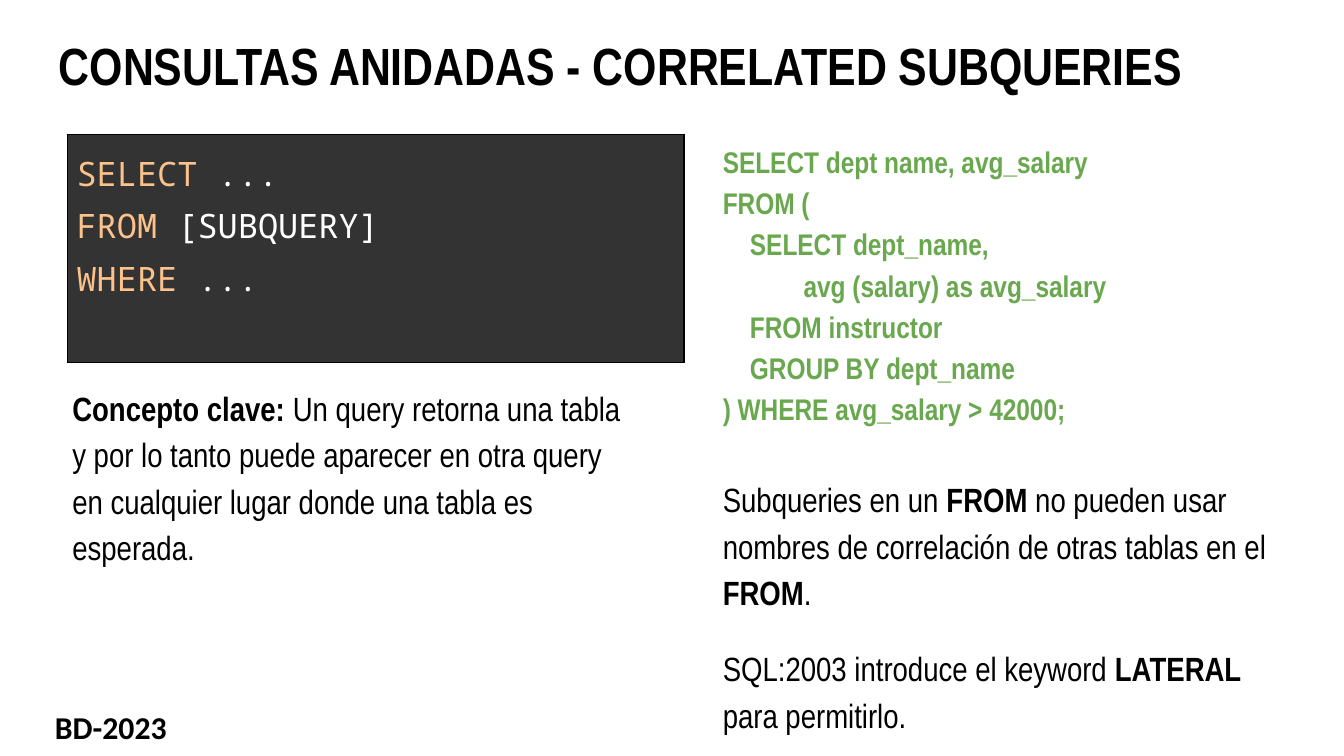
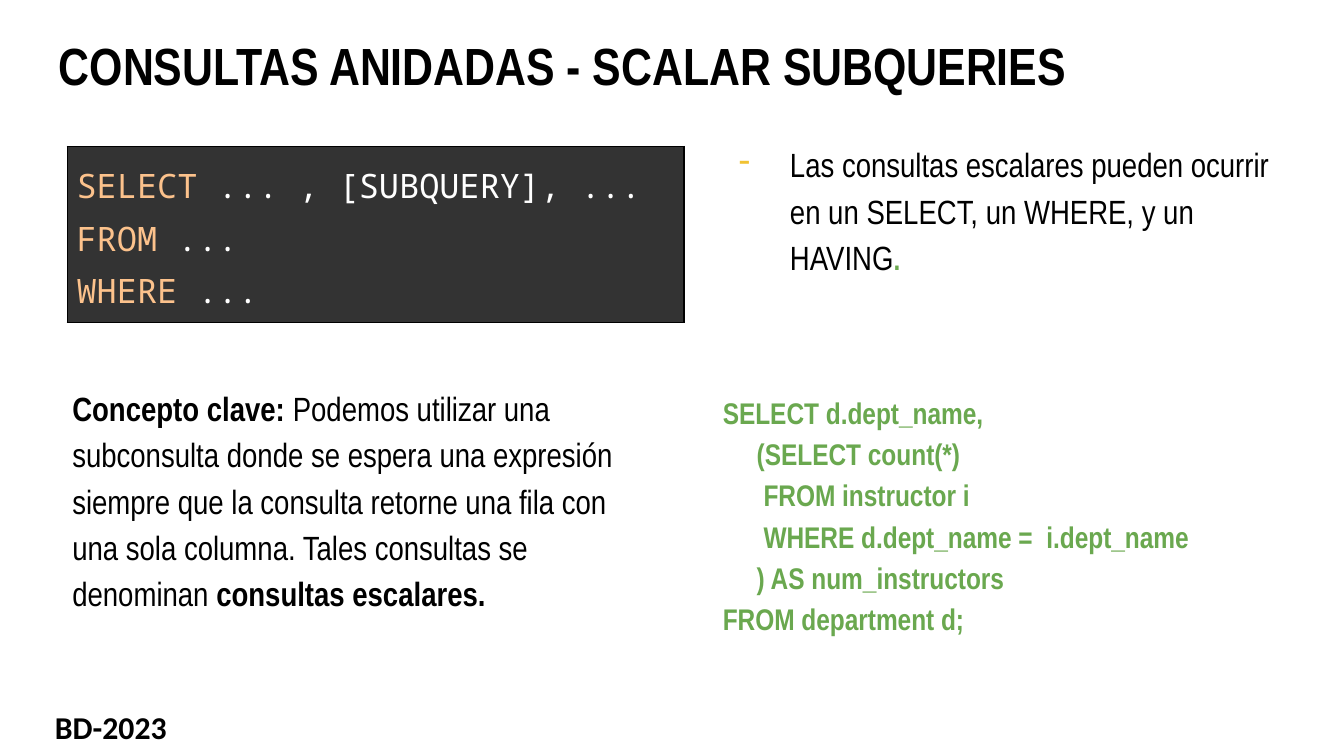
from pptx import Presentation
from pptx.dml.color import RGBColor
from pptx.enum.shapes import MSO_SHAPE
from pptx.enum.text import MSO_ANCHOR, PP_ALIGN
from pptx.oxml.ns import qn
from pptx.util import Inches, Pt
from lxml.etree import SubElement

COLORS = {
    "text": "000000",
    "paper": "FFFFFF",
    "code_back": "333333",
    "keyword": "FCC28C",
    "sql": "6AA84F",
    "dash": "F1C232",
}

BODY = {"spacing": 1.15, "accent": {"bold": True}}
SQL = {"size": 16, "color": "sql", "bold": True, "spacing": 1.15}
CODE = {"font": "Noto Sans Mono", "color": "paper", "spacing": 1.15,
        "accent": {"color": "keyword"}}

SLIDES = [
    {
        "title": "CONSULTAS ANIDADAS - CORRELATED SUBQUERIES",
        "code_top": 1,
        "code_height": 1.7,
        "code": ["|SELECT| ...\n|FROM| [SUBQUERY]\n|WHERE| ..."],
        "concept": "|Concepto clave: |Un query retorna una tabla y por lo tanto "
                   "puede aparecer en otra query en cualquier lugar donde una "
                   "tabla es esperada.",
        "right": [
            ("SELECT dept name, avg_salary", SQL),
            ("FROM (", SQL),
            ("    SELECT dept_name,", SQL),
            ("  avg (salary) as avg_salary", {**SQL, "indent": 0.5}),
            ("    FROM instructor", SQL),
            ("    GROUP BY dept_name", SQL),
            (") WHERE avg_salary > 42000;", SQL),
            ("Subqueries en un |FROM| no pueden usar nombres de correlación "
             "de otras tablas en el |FROM|.", {**BODY, "before": 25}),
            ("SQL:2003 introduce el keyword |LATERAL| para permitirlo.",
             {**BODY, "before": 16}),
        ],
    },
    {
        "title": "CONSULTAS ANIDADAS - SCALAR SUBQUERIES",
        "code_top": 1.09,
        "code_height": 1.31,
        "code": ["|SELECT| ... , [SUBQUERY], ...\n|FROM| ...", "|WHERE |..."],
        "concept": "|Concepto clave: |Podemos utilizar una subconsulta donde se "
                   "espera una expresión siempre que la consulta retorne una fila "
                   "con una sola columna. Tales consultas se denominan "
                   "|consultas escalares.|",
        "right": [
            ("Las consultas escalares pueden ocurrir en un SELECT, un WHERE, "
             "y un HAVING|.|",
             {"spacing": 1.15, "margin": 0.5, "indent": -0.38, "bullet": "-",
              "accent": {"size": 16, "color": "sql", "bold": True}}),
            ("SELECT d.dept_name,", {**SQL, "before": 60}),
            ("     (SELECT count(*)", SQL),
            ("      FROM instructor i", SQL),
            ("      WHERE d.dept_name =  i.dept_name", SQL),
            ("     ) AS num_instructors", SQL),
            ("FROM department d;", SQL),
        ],
    },
]


def add_line(frame, text, font="Arial Narrow", size=18, color="text", bold=False,
             spacing=1, before=0, margin=0, indent=0, bullet=None, accent=None):
    para = frame.paragraphs[0]
    if para.runs:
        para = frame.add_paragraph()
    para.alignment = PP_ALIGN.LEFT
    para.line_spacing = spacing
    para.space_before = Pt(before)
    properties = para._p.get_or_add_pPr()
    properties.set("marL", str(Inches(margin)))
    properties.set("indent", str(Inches(indent)))
    if bullet:
        bullet_color = SubElement(properties, qn("a:buClr"))
        SubElement(bullet_color, qn("a:srgbClr"), val=COLORS["dash"])
        SubElement(properties, qn("a:buChar"), char=bullet)
    plain = {"size": size, "color": color, "bold": bold}
    for position, piece in enumerate(text.split("|")):
        if piece:
            style = {**plain, **accent} if position % 2 else plain
            span = para.add_run()
            span.text = piece.rstrip("\n")
            span.font.name = font
            span.font.size = Pt(style["size"])
            span.font.bold = style["bold"]
            span.font.color.rgb = RGBColor.from_string(COLORS[style["color"]])
            if piece.endswith("\n"):
                para.add_line_break()


def add_box(page, left, top, width, height, fill=None):
    area = [Inches(length) for length in (left, top, width, height)]
    if fill:
        box = page.shapes.add_shape(MSO_SHAPE.RECTANGLE, *area)
        box.shadow.inherit = False
        box.fill.solid()
        box.fill.fore_color.rgb = RGBColor.from_string(COLORS[fill])
        box.line.fill.background()
    else:
        box = page.shapes.add_textbox(*area)
    frame = box.text_frame
    frame.word_wrap = True
    frame.vertical_anchor = MSO_ANCHOR.TOP
    frame.margin_left = frame.margin_right = Inches(0.1)
    frame.margin_top = frame.margin_bottom = Inches(0.1)
    return frame


deck = Presentation()
deck.slide_width = Inches(10)
deck.slide_height = deck.slide_width * 9 // 16

for content in SLIDES:
    page = deck.slides.add_slide(deck.slide_layouts[6])

    title = add_box(page, 0.34, 0.15, 9.32, 0.63)
    add_line(title, content["title"], size=28, bold=True)

    right = add_box(page, 5.28, 0.93, 4.37, 3.74)
    for text, style in content["right"]:
        add_line(right, text, **style)

    table = page.shapes.add_table(
        1, 1, Inches(0.5), Inches(content["code_top"]),
        Inches(4.59), Inches(content["code_height"])).table
    table.first_row = False
    table.horz_banding = False
    cell = table.cell(0, 0)
    cell.margin_left = cell.margin_right = Inches(0.07)
    cell.margin_top = cell.margin_bottom = Inches(0.07)
    for side in ("lnL", "lnR", "lnT", "lnB"):
        border = SubElement(cell._tc.get_or_add_tcPr(), qn(f"a:{side}"), w=str(Pt(0.75)))
        border_fill = SubElement(border, qn("a:solidFill"))
        SubElement(border_fill, qn("a:srgbClr"), val=COLORS["text"])
    cell.fill.solid()
    cell.fill.fore_color.rgb = RGBColor.from_string(COLORS["code_back"])
    for text in content["code"]:
        add_line(cell.text_frame, text, **CODE)

    concept = add_box(page, 0.44, 2.74, 4.37, 2.41)
    add_line(concept, content["concept"], **BODY)

    footer = add_box(page, 0.31, 5.17, 1.04, 0.4, fill="paper")
    add_line(footer, "BD-2023", font="Calibri", size=17, bold=True)

deck.save("out.pptx")
